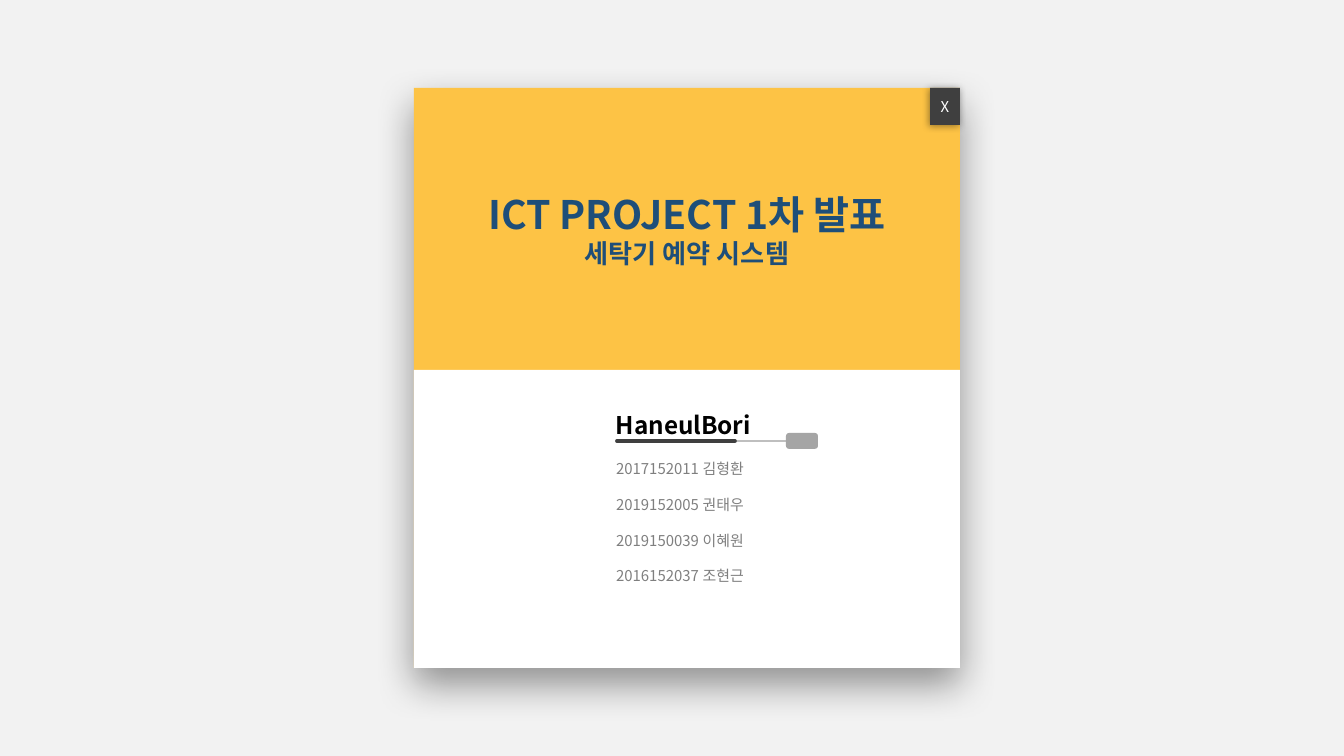
"""Build the cover slide of a project presentation."""
from lxml.etree import SubElement
from pptx import Presentation
from pptx.dml.color import RGBColor
from pptx.enum.shapes import MSO_CONNECTOR, MSO_SHAPE
from pptx.enum.text import MSO_ANCHOR, PP_ALIGN
from pptx.oxml.ns import qn
from pptx.util import Pt

TITLE = [("ICT PROJECT 1차 발표", 21), ("세탁기 예약 시스템", 14)]
TEAM = "HaneulBori"
MEMBERS = [
    "2017152011 김형환",
    "2019152005 권태우",
    "2019150039 이혜원",
    "2016152037 조현근",
]

FONT = "Noto Sans CJK KR"
PAPER = RGBColor(0xF2, 0xF2, 0xF2)
YELLOW = RGBColor(0xFD, 0xC3, 0x45)
NAVY = RGBColor(0x1E, 0x4E, 0x79)
WHITE = RGBColor(0xFF, 0xFF, 0xFF)
BLACK = RGBColor(0, 0, 0)
DARK = RGBColor(0x3F, 0x3F, 0x3F)
GRAY = RGBColor(0x7F, 0x7F, 0x7F)
KNOB = RGBColor(0xA5, 0xA5, 0xA5)
RULE = RGBColor(0xBF, 0xBF, 0xBF)

PX = 914400 / 134.4
CARD_X, CARD_Y, CARD_W, CARD_H = 414, 88, 546, 580
TOP_H = 282
CLOSE_W, CLOSE_H = 30, 37
TEXT_X, RULE_X, RULE_Y = 616, 617, 441


def px(*values):
    return [round(v * PX) for v in values]


def add_block(shapes, kind, box, color):
    sp = shapes.add_shape(kind, *px(*box))
    sp.shadow.inherit = False
    sp.fill.solid()
    sp.fill.fore_color.rgb = color
    sp.line.fill.background()
    return sp


def add_shadow(sp, blur, dist, angle):
    effects = sp._element.spPr.find(qn("a:effectLst"))
    shadow = SubElement(effects, qn("a:outerShdw"), blurRad=str(Pt(blur)),
                        dist=str(Pt(dist)), dir=str(angle * 60000),
                        algn="t", rotWithShape="0")
    color = SubElement(shadow, qn("a:srgbClr"), val="000000")
    SubElement(color, qn("a:alpha"), val="40000")


def add_rule(shapes, length, color, width):
    line = shapes.add_connector(
        MSO_CONNECTOR.STRAIGHT, *px(RULE_X, RULE_Y, RULE_X + length, RULE_Y))
    line.line.color.rgb = color
    line.line.width = Pt(width)
    SubElement(line._element.spPr, qn("a:effectLst"))
    return line


def write(sp, lines, color, bold=False, align=PP_ALIGN.LEFT,
          anchor=MSO_ANCHOR.TOP, gap=0):
    tf = sp.text_frame
    tf.word_wrap = True
    tf.vertical_anchor = anchor
    tf.margin_left = tf.margin_right = tf.margin_top = tf.margin_bottom = 0
    for i, (text, size) in enumerate(lines):
        p = tf.paragraphs[0] if i == 0 else tf.add_paragraph()
        p.alignment = align
        p.line_spacing = 1.0
        p.space_before = Pt(gap if i else 0)
        r = p.add_run()
        r.text = text
        r.font.name = FONT
        r.font.size = Pt(size)
        r.font.bold = bold
        r.font.color.rgb = color
        SubElement(r._r.get_or_add_rPr(), qn("a:ea"), typeface=FONT)


def main():
    prs = Presentation()
    prs.slide_width, prs.slide_height = px(1344, 756)
    s = prs.slides.add_slide(prs.slide_layouts[5])
    s.background.fill.solid()
    s.background.fill.fore_color.rgb = PAPER
    shapes = s.shapes

    card = add_block(shapes, MSO_SHAPE.RECTANGLE,
                     (CARD_X, CARD_Y, CARD_W, CARD_H), YELLOW)
    add_shadow(card, 21, 9, 90)
    add_block(shapes, MSO_SHAPE.RECTANGLE,
              (CARD_X, CARD_Y + TOP_H, CARD_W, CARD_H - TOP_H), WHITE)
    close = add_block(shapes, MSO_SHAPE.RECTANGLE,
                      (CARD_X + CARD_W - CLOSE_W, CARD_Y, CLOSE_W, CLOSE_H), DARK)
    add_shadow(close, 4, 1, 135)
    write(close, [("X", 8)], WHITE, align=PP_ALIGN.CENTER,
          anchor=MSO_ANCHOR.MIDDLE)

    title = shapes.title
    title.left, title.top, title.width, title.height = px(
        CARD_X, 190, CARD_W, 90)
    write(title, TITLE, NAVY, bold=True, align=PP_ALIGN.CENTER)
    shapes._spTree.remove(title._element)
    shapes._spTree.append(title._element)

    add_rule(shapes, 197, RULE, 0.75)
    add_rule(shapes, 118, DARK, 2).line._get_or_add_ln().set("cap", "rnd")
    team = shapes.add_textbox(*px(TEXT_X, 410, 160, 30))
    write(team, [(TEAM, 13)], BLACK, bold=True)
    members = shapes.add_textbox(*px(TEXT_X, 460, 190, 126))
    write(members, [(name, 8) for name in MEMBERS], GRAY, gap=9.5)
    knob = add_block(shapes, MSO_SHAPE.ROUNDED_RECTANGLE,
                     (786, 433, 32, 16), KNOB)
    knob.adjustments[0] = 0.2

    prs.save("out.pptx")


if __name__ == "__main__":
    main()
